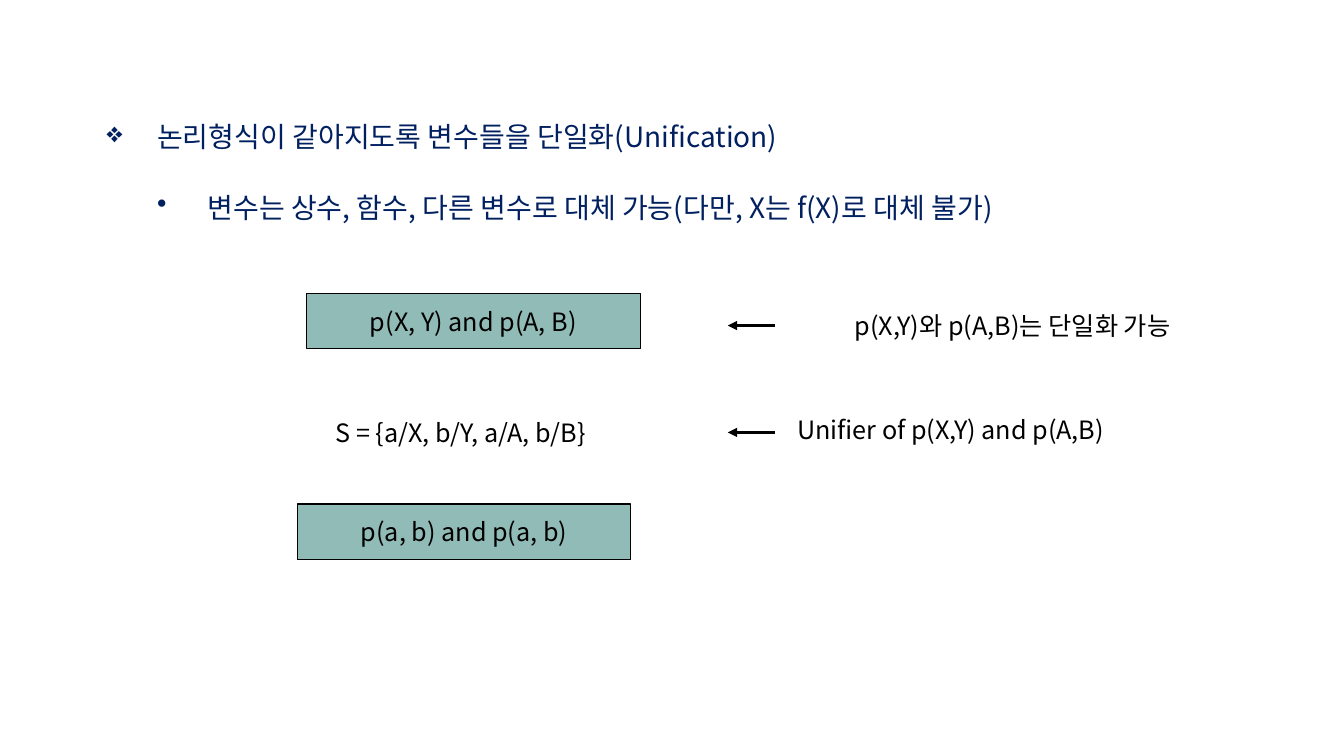
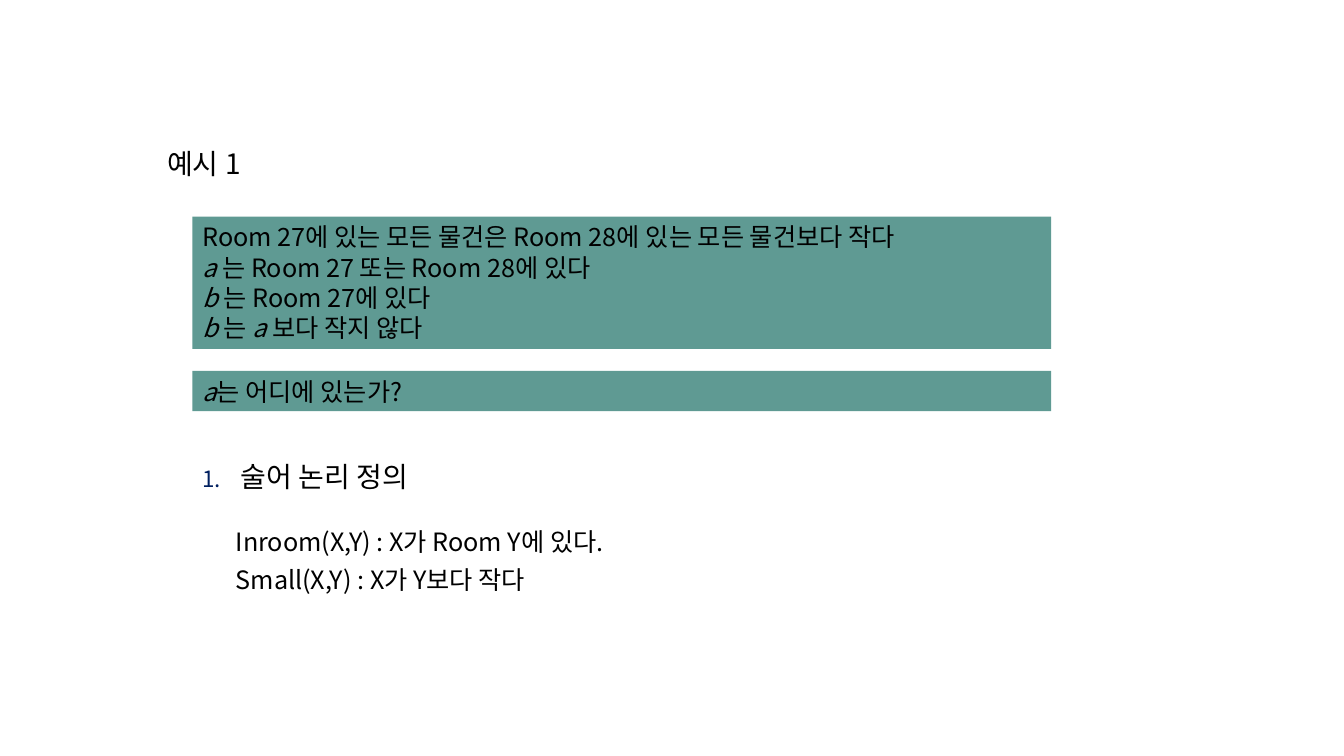
from lxml import etree
from pptx import Presentation
from pptx.dml.color import RGBColor
from pptx.enum.shapes import MSO_CONNECTOR, MSO_SHAPE
from pptx.enum.text import MSO_ANCHOR, PP_ALIGN
from pptx.oxml.ns import qn
from pptx.util import Inches, Pt

STRAIGHT, RECTANGLE = MSO_CONNECTOR.STRAIGHT, MSO_SHAPE.RECTANGLE
LEFT, CENTER, JUSTIFY = PP_ALIGN.LEFT, PP_ALIGN.CENTER, PP_ALIGN.JUSTIFY
TOP, MIDDLE = MSO_ANCHOR.TOP, MSO_ANCHOR.MIDDLE
FONT = "Noto Sans CJK KR"
COLORS = {"ink": "000000", "navy": "002060", "mint": "91BBB6", "teal": "5F9A93"}


def rgb(name):
    return RGBColor.from_string(COLORS[name])


def add_bullet(paragraph, bullet, indent, hang, color):
    properties = paragraph._p.get_or_add_pPr()
    properties.set("marL", str(Inches(indent)))
    properties.set("indent", str(-Inches(hang)))
    if bullet == "1.":
        tint = etree.SubElement(properties, qn("a:buClr"))
        etree.SubElement(tint, qn("a:srgbClr"), val=COLORS[color])
        etree.SubElement(properties, qn("a:buSzPct"), val="80000")
        etree.SubElement(properties, qn("a:buAutoNum"), type="arabicPeriod")
    else:
        etree.SubElement(properties, qn("a:buChar"), char=bullet)


def write(frame, text, size=18, color="ink", align=LEFT, anchor=TOP, before=0,
          spacing=None, bullets="", indents=(), hang=0.5, bullet_color="navy"):
    """Write one paragraph per line, with words between asterisks in italics."""
    frame.word_wrap = True
    frame.vertical_anchor = anchor
    for index, line in enumerate(text.split("\n")):
        paragraph = frame.add_paragraph() if index else frame.paragraphs[0]
        if bullets:
            add_bullet(paragraph, bullets[index], indents[index], hang, bullet_color)
        paragraph.level = index if bullets else 0
        paragraph.alignment = align
        if spacing:
            paragraph.line_spacing = spacing
        if index and before:
            paragraph.space_before = Pt(before)
        for position, piece in enumerate(line.split("*")):
            if not piece:
                continue
            run = paragraph.add_run()
            run.text = piece
            font = run.font
            font.size, font.name = Pt(size), FONT
            font.color.rgb = rgb(color)
            font.italic = position % 2 == 1
            etree.SubElement(run._r.get_or_add_rPr(), qn("a:ea"), typeface=FONT)


class Deck:
    """Hold the style and current slide; places are percentages of the slide."""

    def __init__(self):
        self.file = Presentation()
        self.file.slide_width, self.file.slide_height = Inches(13.33), Inches(7.5)
        self.shapes = None

    def new_slide(self):
        self.shapes = self.file.slides.add_slide(self.file.slide_layouts[6]).shapes

    def place(self, *shares):
        sides = (self.file.slide_width, self.file.slide_height)
        return [round(sides[i % 2] * share / 100) for i, share in enumerate(shares)]

    def text(self, x, y, width, height, words, **style):
        box = self.shapes.add_textbox(*self.place(x, y, width, height))
        write(box.text_frame, words, **style)

    def panel(self, x, y, width, height, words, fill, outlined=False, **style):
        panel = self.shapes.add_shape(RECTANGLE, *self.place(x, y, width, height))
        panel.shadow.inherit = False
        panel.fill.solid()
        panel.fill.fore_color.rgb = rgb(fill)
        if outlined:
            panel.line.color.rgb = rgb("ink")
            panel.line.width = Pt(0.75)
        else:
            panel.line.fill.background()
        write(panel.text_frame, words, **style)

    def arrow(self, start, end, y):
        arrow = self.shapes.add_connector(STRAIGHT, *self.place(start, y, end, y))
        arrow.line.color.rgb = rgb("ink")
        arrow.line.width = Pt(2.25)
        etree.SubElement(arrow.line._get_or_add_ln(), qn("a:tailEnd"), type="triangle")
        etree.SubElement(arrow._element.spPr, qn("a:effectLst"))


def unification_slide(deck):
    deck.new_slide()
    deck.text(7.2, 12.93, 85.65, 16.67,
              "논리형식이 같아지도록 변수들을 단일화(Unification)\n"
              "변수는 상수, 함수, 다른 변수로 대체 가능(다만, X는 f(X)로 대체 불가)",
              size=20, color="navy", align=JUSTIFY, spacing=1.5, before=14.4,
              bullets="❖•", indents=(0.5, 1))
    for x, y, formula in ((22.8, 38.8, "p(X, Y) and p(A, B)"),
                          (22.12, 66.67, "p(a, b) and p(a, b)")):
        deck.panel(x, y, 24.83, 7.33, formula, "mint", outlined=True,
                   align=CENTER, anchor=MIDDLE)
    for x, y, width, arrow_y, remark in (
            (61.05, 40.4, 28.57, 43.07, "p(X,Y)와 p(A,B)는 단일화 가능"),
            (57.68, 54.13, 26.1, 57.2, "Unifier of p(X,Y) and p(A,B)")):
        deck.text(x, y, width, 5.33, remark, align=CENTER)
        deck.arrow(57.68, 54.15, arrow_y)
    deck.text(24.22, 54.53, 21.45, 5.33, "S = {a/X, b/Y, a/A, b/B}")


def example_slide(deck):
    deck.new_slide()
    deck.text(11.7, 18.67, 69.22, 6, "예시 1", size=20)
    facts = ("Room 27에 있는 모든 물건은 Room 28에 있는 모든 물건보다 작다\n"
             "*a *는 Room 27 또는 Room 28에 있다\n"
             "*b *는 Room 27에 있다\n"
             "*b *는 *a *보다 작지 않다")
    for y, height, words in ((28.67, 17.47, facts),
                             (49.07, 5.33, "*a*는 어디에 있는가?")):
        deck.panel(14.32, y, 63.9, height, words, "teal")
    deck.text(11.7, 60.13, 69.22, 6, "술어 논리 정의", size=20,
              bullets=["1."], indents=[0.73], hang=0.38)
    deck.text(16.8, 68.93, 33.67, 10.53,
              "Inroom(X,Y) : X가 Room Y에 있다.\nSmall(X,Y) : X가 Y보다 작다",
              before=6)


def main():
    deck = Deck()
    unification_slide(deck)
    example_slide(deck)
    deck.file.save("out.pptx")


if __name__ == "__main__":
    main()
